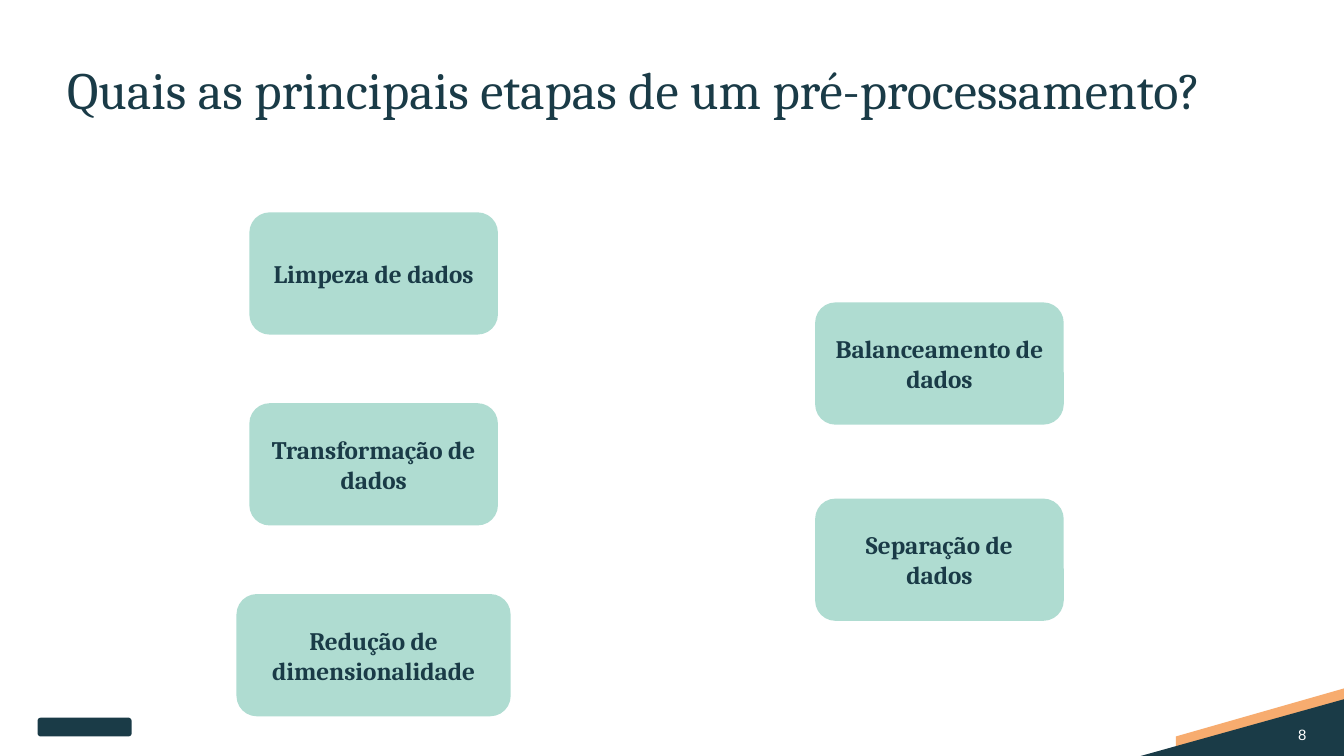
from pptx import Presentation
from pptx.dml.color import RGBColor
from pptx.enum.shapes import MSO_SHAPE
from pptx.enum.text import MSO_ANCHOR, PP_ALIGN
from pptx.util import Inches, Pt

ROUNDED = MSO_SHAPE.ROUNDED_RECTANGLE
TOP, MIDDLE = MSO_ANCHOR.TOP, MSO_ANCHOR.MIDDLE
LEFT, CENTER, RIGHT = PP_ALIGN.LEFT, PP_ALIGN.CENTER, PP_ALIGN.RIGHT
COLORS = {"navy": "1A3B47", "orange": "F7AC6F", "mint": "AFDCD1", "white": "FFFFFF"}


def paint(shape, color):
    shape.fill.solid()
    shape.fill.fore_color.rgb = RGBColor.from_string(COLORS[color])
    shape.line.fill.background()
    shape.shadow.inherit = False


def write(shape, text, size, font, color, align, anchor, bold=False):
    frame = shape.text_frame
    frame.word_wrap = True
    frame.vertical_anchor = anchor
    paragraph = frame.paragraphs[0]
    paragraph.alignment = align
    run = paragraph.add_run()
    run.text = text
    run.font.size = Pt(size)
    run.font.name = font
    run.font.bold = bold
    run.font.color.rgb = RGBColor.from_string(COLORS[color])
    return frame


# Widescreen slide, 16:9
presentation = Presentation()
presentation.slide_width = Inches(10)
presentation.slide_height = Inches(10) * 9 // 16
slide = presentation.slides.add_slide(presentation.slide_layouts[6])
shapes = slide.shapes

# Corner bands
bands = [
    ("orange", [(10.01, 5.44), (10.01, 5.12), (8.75, 5.48), (8.75, 5.62)]),
    ("navy", [(8.47, 5.63), (10.01, 5.2), (10, 5.65)]),
]
for color, points in bands:
    corners = [(Inches(x), Inches(y)) for x, y in points]
    builder = shapes.build_freeform(*corners[0])
    builder.add_line_segments(corners[1:], close=True)
    paint(builder.convert_to_shape(), color)

# Plain mark at the bottom left
mark = shapes.add_shape(ROUNDED, Inches(0.28), Inches(5.34), Inches(0.7), Inches(0.14))
paint(mark, "navy")

# Page number and title: box, line spacing, then text and style
labels = [
    ((9.41, 5.33, 0.31, 0.27), 1.0, "8", 8, "Arial", "white", RIGHT, MIDDLE),
    ((0.5, 0.48, 9, 0.75), 0.9, "Quais as principais etapas de um pré-processamento?",
     28, "Cambria", "navy", LEFT, TOP),
]
for box, line_spacing, *style in labels:
    label = shapes.add_textbox(*(Inches(length) for length in box))
    frame = write(label, *style)
    frame.margin_left = frame.margin_right = frame.margin_top = frame.margin_bottom = 0
    frame.paragraphs[0].line_spacing = line_spacing

# Step cards: column centre, first top, row pitch, then (text, width) downwards
card_width, card_height = 1.85, 0.91
columns = [
    (2.78, 1.58, 1.42, [("Limpeza de dados", card_width),
                        ("Transformação de dados", card_width),
                        ("Redução de dimensionalidade", 2.04)]),
    (6.99, 2.25, 1.46, [("Balanceamento de dados", card_width),
                        ("Separação de dados", card_width)]),
]
for center, first_top, pitch, steps in columns:
    for row, (text, width) in enumerate(steps):
        card = shapes.add_shape(ROUNDED, Inches(center - width / 2),
                                Inches(first_top + row * pitch),
                                Inches(width), Inches(card_height))
        paint(card, "mint")
        write(card, text, 13.5, "Cambria", "navy", CENTER, MIDDLE, bold=True)

presentation.save("out.pptx")
